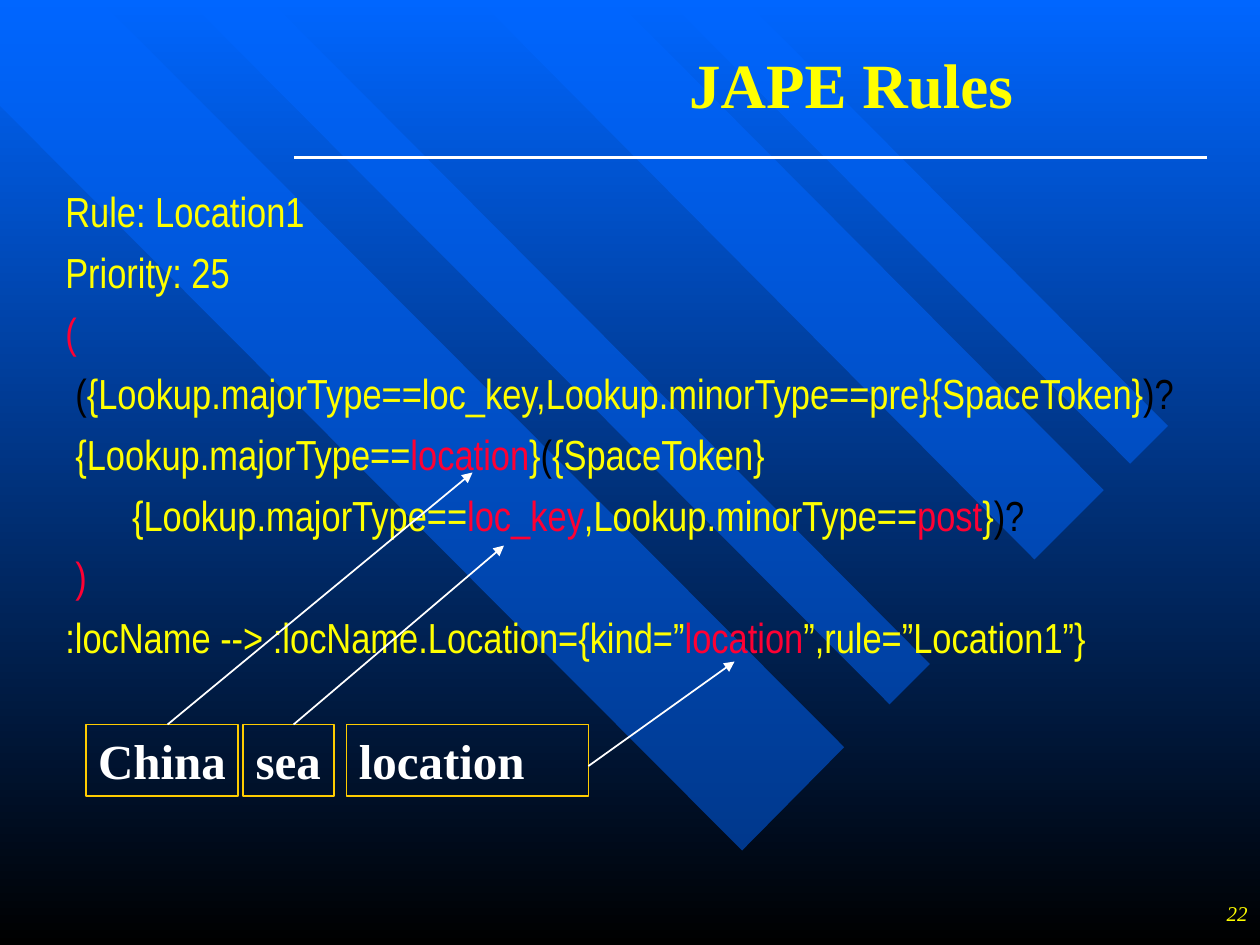
from lxml import etree
from pptx import Presentation
from pptx.dml.color import RGBColor
from pptx.enum.shapes import MSO_CONNECTOR, MSO_SHAPE
from pptx.enum.text import MSO_ANCHOR, MSO_AUTO_SIZE, PP_ALIGN
from pptx.oxml.ns import qn
from pptx.util import Inches, Pt

BLUE = RGBColor(0x00, 0x66, 0xFF)
BLACK = RGBColor(0x00, 0x00, 0x00)
WHITE = RGBColor(0xFF, 0xFF, 0xFF)
YELLOW = RGBColor(0xFF, 0xFF, 0x00)
RED = RGBColor(0xFF, 0x00, 0x33)
GOLD = RGBColor(0xFF, 0xCC, 0x00)

SERIF = "Times New Roman"
NARROW = "Arial Narrow"

STRIPES = [
    [(6.7, 5.93), (0.79, 0), (0, 0), (0, 0.84), (5.89, 6.75)],
    [(2.14, 0), (7.38, 5.27), (7.06, 5.59), (1.49, 0)],
    [(4.89, 0), (8.76, 3.89), (8.21, 4.44), (3.8, 0)],
    [(5.3, 0), (8.97, 3.68), (9.27, 3.38), (5.91, 0)],
]

# Each rule line: left offset in inches, then its coloured pieces
RULE_LINES = [
    (0, [("Rule: Location1", YELLOW)]),
    (0, [("Priority: 25", YELLOW)]),
    (0, [("(", RED)]),
    (0.08, [("(", BLACK),
            ("{Lookup.majorType==loc_key,Lookup.minorType==pre}{SpaceToken}", YELLOW),
            (")?", BLACK)]),
    (0.08, [("{Lookup.majorType==", YELLOW), ("location", RED), ("}", YELLOW),
            ("(", BLACK), ("{SpaceToken}", YELLOW)]),
    (0.53, [("{Lookup.majorType==", YELLOW), ("loc_key", RED),
            (",Lookup.minorType==", YELLOW), ("post", RED), ("}", YELLOW),
            (")?", BLACK)]),
    (0.08, [(")", RED)]),
    (0, [(":locName --> :locName.Location={kind=”", YELLOW), ("location", RED),
         ("”,rule=”Location1”}", YELLOW)]),
]
HANGING = 0.38

# Each example: word, left, width, arrow start and end
EXAMPLES = [
    ("China", 0.68, 1.21, (1.33, 5.75), (3.75, 3.75)),
    ("sea", 1.93, 0.72, (2.33, 5.75), (4, 4.33)),
    ("location", 2.75, 1.92, (4.67, 6.08), (5.83, 5.25)),
]


def format_font(run, name, size, color, bold=False, italic=False):
    font = run.font
    font.name, font.size = name, Pt(size)
    font.bold, font.italic = bold, italic
    font.color.rgb = color


def add_line(slide, start, end, width, arrow=False):
    line = slide.shapes.add_connector(
        MSO_CONNECTOR.STRAIGHT, *(Inches(v) for v in (*start, *end)))
    line.line.color.rgb = WHITE
    line.line.width = Pt(width)
    properties = line._element.spPr
    if arrow:
        etree.SubElement(properties.find(qn("a:ln")), qn("a:tailEnd"), type="triangle")
    etree.SubElement(properties, qn("a:effectLst"))


def add_text(slide, box, text, size, color, align, **style):
    frame = slide.shapes.add_textbox(*(Inches(v) for v in box)).text_frame
    frame.word_wrap = True
    frame.vertical_anchor = MSO_ANCHOR.MIDDLE
    frame.text = text
    frame.paragraphs[0].alignment = align
    format_font(frame.paragraphs[0].runs[0], SERIF, size, color, **style)


def add_backdrop(slide):
    fill = slide.background.fill
    fill.gradient()
    fill.gradient_angle = 270
    for stop, color in zip(fill.gradient_stops, (BLUE, BLACK)):
        stop.color.rgb = color

    # Half-transparent diagonal stripes
    for points in STRIPES:
        corners = [(Inches(x), Inches(y)) for x, y in points]
        builder = slide.shapes.build_freeform(*corners[0])
        builder.add_line_segments(corners[1:], close=True)
        stripe = builder.convert_to_shape()
        stripe.shadow.inherit = False
        stripe.fill.solid()
        stripe.fill.fore_color.rgb = BLUE
        stripe.line.fill.background()
        color = stripe._element.spPr.find(qn("a:solidFill"))[0]
        etree.SubElement(color, qn("a:alpha"), val="50000")


def add_rule(slide, box):
    frame = slide.shapes.add_textbox(*(Inches(v) for v in box)).text_frame
    frame.word_wrap = True
    for number, (offset, pieces) in enumerate(RULE_LINES):
        line = frame.add_paragraph() if number else frame.paragraphs[0]
        line.space_before = Pt(6)
        properties = line._p.get_or_add_pPr()
        properties.set("marL", str(Inches(HANGING)))
        properties.set("indent", str(Inches(offset - HANGING)))
        for text, color in pieces:
            run = line.add_run()
            run.text = text
            format_font(run, NARROW, 24, color)


def add_examples(slide, top, height):
    for word, left, width, start, end in EXAMPLES:
        example = slide.shapes.add_shape(
            MSO_SHAPE.RECTANGLE, Inches(left), Inches(top), Inches(width), Inches(height))
        example.shadow.inherit = False
        example.fill.background()
        example.line.color.rgb = GOLD
        example.line.width = Pt(1)
        frame = example.text_frame
        # No right margin, so that each word keeps to one line
        frame.margin_right = 0
        frame.word_wrap = True
        frame.auto_size = MSO_AUTO_SIZE.NONE
        frame.vertical_anchor = MSO_ANCHOR.TOP
        frame.text = word
        frame.paragraphs[0].alignment = PP_ALIGN.LEFT
        format_font(frame.paragraphs[0].runs[0], SERIF, 28, WHITE, bold=True)
        add_line(slide, start, end, 1, arrow=True)


def main():
    deck = Presentation()
    deck.slide_width, deck.slide_height = Inches(10), Inches(7.5)
    slide = deck.slides.add_slide(deck.slide_layouts[6])

    add_backdrop(slide)
    # Title with its underline
    add_line(slide, (9.58, 1.25), (2.33, 1.25), 2)
    add_text(slide, (3.92, 0.25, 5.67, 0.83), "JAPE Rules", 36, YELLOW,
             PP_ALIGN.CENTER, bold=True)
    add_rule(slide, (0.42, 1.42, 9.17, 3.92))
    add_examples(slide, 5.75, 0.57)
    # Page number
    add_text(slide, (7.92, 7, 2.08, 0.5), "22", 12, YELLOW, PP_ALIGN.RIGHT, italic=True)

    deck.save("out.pptx")


if __name__ == "__main__":
    main()
